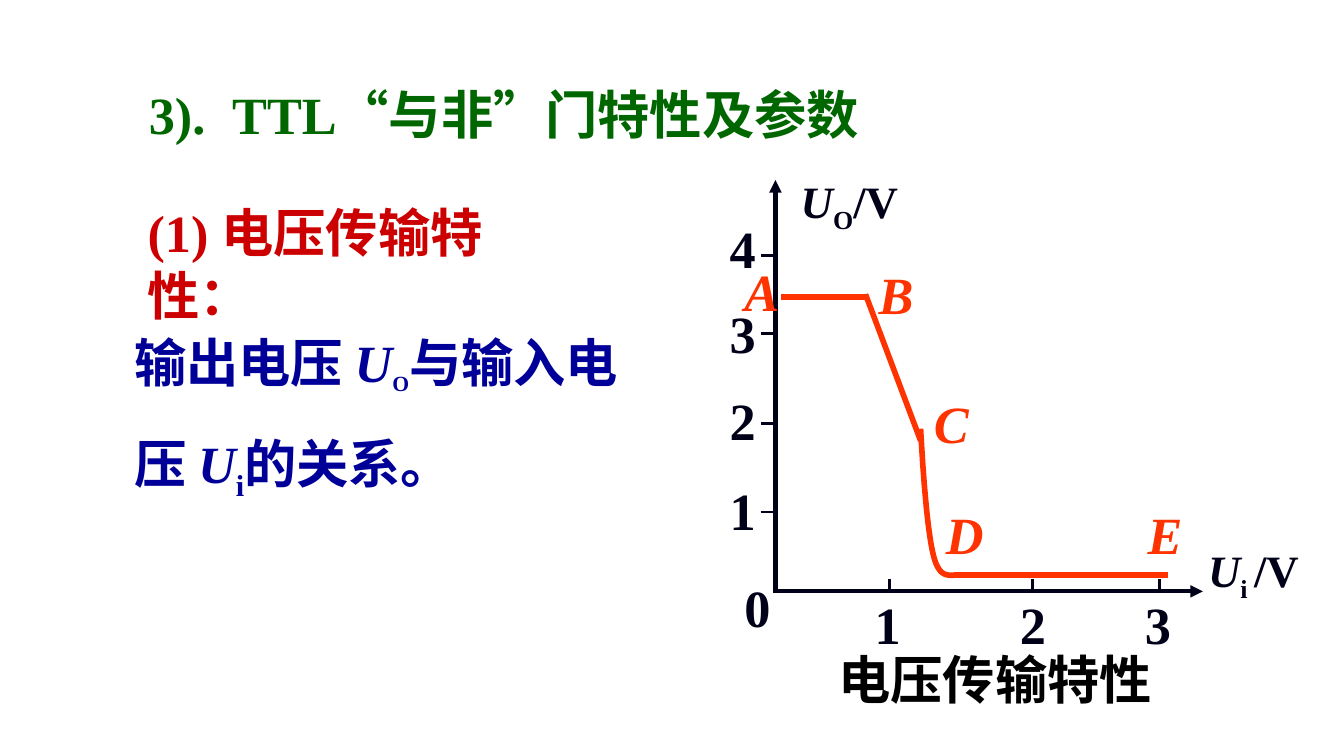
from lxml import etree
from pptx import Presentation
from pptx.dml.color import RGBColor
from pptx.enum.lang import MSO_LANGUAGE_ID
from pptx.enum.shapes import MSO_CONNECTOR
from pptx.enum.text import MSO_AUTO_SIZE
from pptx.oxml.ns import qn
from pptx.util import Inches, Pt

STRAIGHT = MSO_CONNECTOR.STRAIGHT
CHINESE = MSO_LANGUAGE_ID.SIMPLIFIED_CHINESE
NO_AUTO_SIZE = MSO_AUTO_SIZE.NONE
FONT = "Times New Roman"
GREEN = RGBColor(0x00, 0x66, 0x00)
RED = RGBColor(0xCC, 0x00, 0x00)
BLUE = RGBColor(0x00, 0x00, 0x99)
BLACK = RGBColor(0x00, 0x00, 0x00)
INK = RGBColor(0x00, 0x00, 0x18)
ORANGE = RGBColor(0xFF, 0x33, 0x00)


def add_text(slide, box, runs, color, size=28, wrap=True, line_spacing=None, tab=None):
    shape = slide.shapes.add_textbox(*(Inches(value) for value in box))
    frame = shape.text_frame
    frame.word_wrap = wrap
    frame.auto_size = NO_AUTO_SIZE
    paragraph = frame.paragraphs[0]
    properties = paragraph._p.get_or_add_pPr()
    properties.set("hangingPunct", "0")
    if line_spacing:
        paragraph.line_spacing = line_spacing
    if tab:
        tabs = etree.SubElement(properties, qn("a:tabLst"))
        etree.SubElement(tabs, qn("a:tab"), pos=str(Inches(tab)), algn="l")
    for text, style in runs:
        run = paragraph.add_run()
        run.text = text
        font = run.font
        font.name = FONT
        font.bold = True
        font.italic = style == "italic"
        font.size = Pt(20 if style == "small subscript" else size)
        font.color.rgb = color
        font.language_id = CHINESE
        if style.endswith("subscript"):
            font._element.set("baseline", "-25000")


def add_line(slide, start, end, color, width, arrow=False):
    line = slide.shapes.add_connector(
        STRAIGHT, *(Inches(value) for value in (*start, *end))
    )
    line.line.color.rgb = color
    line.line.width = Pt(width)
    if arrow:
        etree.SubElement(line.line._get_or_add_ln(), qn("a:tailEnd"), type="triangle")
    etree.SubElement(line._element.spPr, qn("a:effectLst"))


def bezier_points(start, first, second, end, steps=16):
    for step in range(1, steps + 1):
        t = step / steps
        weights = ((1 - t) ** 3, 3 * t * (1 - t) ** 2, 3 * t * t * (1 - t), t**3)
        yield tuple(
            Inches(sum(weight * value for weight, value in zip(weights, values)))
            for values in zip(start, first, second, end)
        )


def add_explanation(slide, left, top):
    add_text(slide, (left + 0.11, top, 5.5, 0.5),
             [("3).\tTTL“与非”门特性及参数", "plain")], GREEN, tab=0.62)
    add_text(slide, (left + 0.1, top + 0.88, 3.33, 0.57),
             [("(1) 电压传输特性：", "plain")], RED)
    add_text(slide, (left, top + 1.6, 4.17, 1.43), [
        ("输出电压 ", "plain"), ("U", "italic"), ("O", "small subscript"),
        ("与输入电压 ", "plain"), ("U", "italic"), ("i", "subscript"),
        ("的关系。", "plain"),
    ], BLUE, line_spacing=1.5)


def add_axes(slide, left, top):
    axis_x, axis_y = left + 0.44, top + 3.16

    def add_number(text, x, y):
        add_text(slide, (x, y, 0.4, 0.57), [(text, "plain")], INK, wrap=False)

    for number, tick, label in ((1, 2.57, 2.27), (2, 1.91, 1.6), (3, 1.24, 0.95), (4, 0.66, 0.32)):
        add_line(slide, (axis_x - 0.11, top + tick), (axis_x, top + tick), INK, 1.5)
        add_number(str(number), left, top + label)
    for number, tick, label in ((1, 1.29, 1.08), (2, 2.35, 2.16), (3, 3.3, 3.09)):
        add_line(slide, (left + tick, axis_y), (left + tick, axis_y - 0.09), INK, 1.5)
        add_number(str(number), left + label, axis_y - 0.04)
    add_number("0", left + 0.11, axis_y - 0.17)
    add_line(slide, (axis_x, axis_y + 0.01), (axis_x, top + 0.1), INK, 2.25, arrow=True)
    add_line(slide, (axis_x, axis_y), (left + 3.62, axis_y), INK, 2.25, arrow=True)
    add_text(slide, (left + 3.56, top + 2.75, 0.9, 0.51),
             [("U", "italic"), ("i ", "subscript"), ("/V", "plain")], INK, 24, wrap=False)
    add_text(slide, (left + 0.53, top, 0.94, 0.51),
             [("U", "italic"), ("O", "subscript"), ("/V", "plain")], INK, 24, wrap=False)


def add_transfer_curve(slide, left, top):
    def at(x, y):
        return left + x, top + y

    add_line(slide, at(0.48, 0.97), at(1.11, 0.97), ORANGE, 3)
    add_line(slide, at(1.11, 0.95), at(1.52, 2.04), ORANGE, 3)
    start, middle, end = at(1.52, 1.95), at(1.61, 2.87), at(1.77, 3.04)
    points = [
        *bezier_points(start, at(1.54, 2.32), at(1.57, 2.69), middle),
        *bezier_points(middle, at(1.65, 3.05), at(1.71, 3.04), end),
    ]
    builder = slide.shapes.build_freeform(*(Inches(value) for value in start))
    builder.add_line_segments(points, close=False)
    drop = builder.convert_to_shape()
    drop.shadow.inherit = False
    drop.fill.background()
    drop.line.color.rgb = ORANGE
    drop.line.width = Pt(3)
    add_line(slide, end, at(3.36, 3.04), ORANGE, 3)
    for letter, x, y, width in (
        ("A", 0.11, 0.64, 0.44), ("B", 1.11, 0.66, 0.44), ("C", 1.52, 1.62, 0.47),
        ("D", 1.61, 2.45, 0.49), ("E", 3.11, 2.45, 0.44),
    ):
        add_text(slide, (*at(x, y), width, 0.57), [(letter, "italic")], ORANGE, wrap=False)


def add_diagram(slide, left, top):
    add_axes(slide, left, top)
    add_transfer_curve(slide, left, top)
    add_text(slide, (left + 0.81, top + 3.53, 3.08, 0.57),
             [("电压传输特性", "plain")], BLACK)


def main():
    presentation = Presentation()
    presentation.slide_width = Inches(10)
    presentation.slide_height = Inches(10 * 9 / 16)
    slide = presentation.slides.add_slide(presentation.slide_layouts[6])
    add_explanation(slide, 0.9, 0.56)
    add_diagram(slide, 5.33, 1.24)
    presentation.save("out.pptx")


if __name__ == "__main__":
    main()
